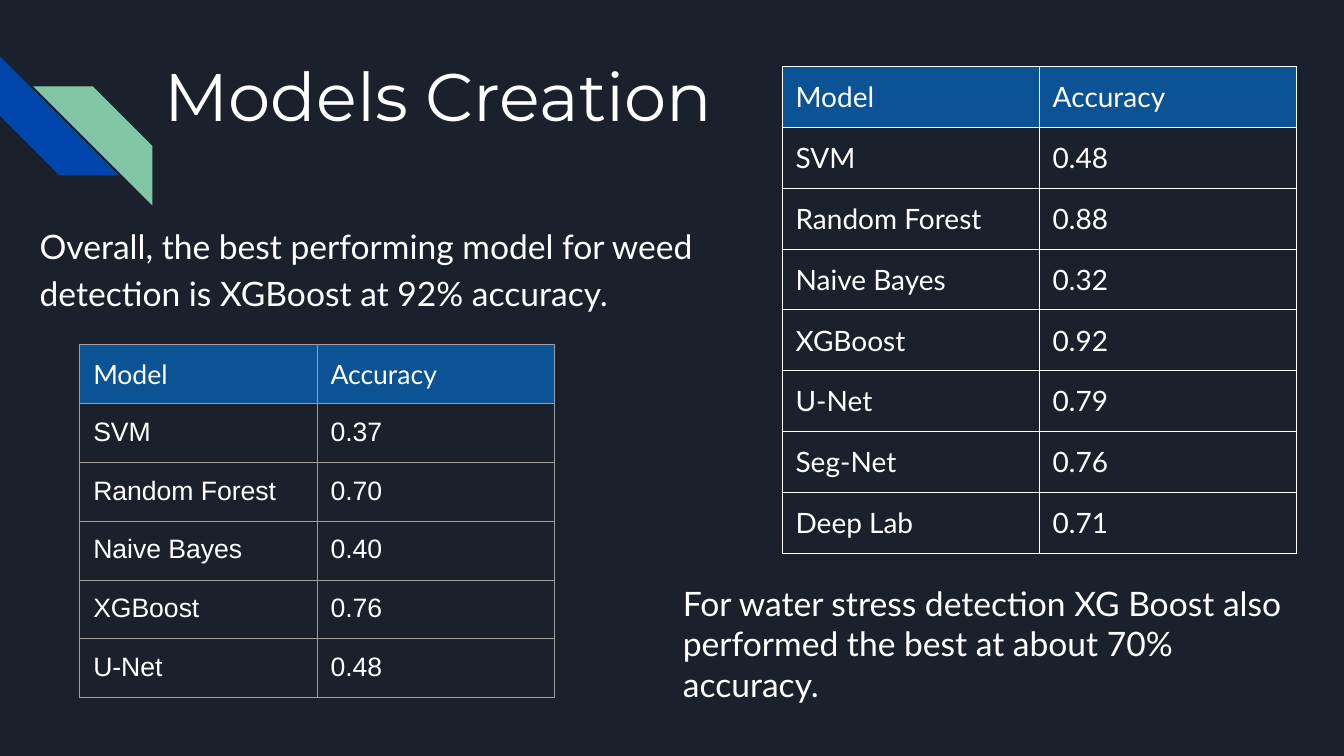
from dataclasses import dataclass

import pptx
import pptx.dml.color
import pptx.enum.shapes
import pptx.enum.text
import pptx.oxml.ns
import pptx.slide
import pptx.table
import pptx.text.text
import pptx.util
from lxml import etree
from pptx.dml.color import RGBColor
from pptx.util import Cm

BACKGROUND = RGBColor(0x1B, 0x21, 0x2C)
WHITE = RGBColor(0xFF, 0xFF, 0xFF)
GRAY = RGBColor(0x9E, 0x9E, 0x9E)
HEADER_BLUE = RGBColor(0x0B, 0x53, 0x94)
STRIPE_BLUE = RGBColor(0x01, 0x45, 0xAC)
STRIPE_GREEN = RGBColor(0x82, 0xC7, 0xA5)
MARGIN = Cm(0.34)
STRIPE_SIZE = Cm(3)


@dataclass
class Stripe:
    left: float
    top: float
    rotation: int
    color: RGBColor


@dataclass
class TextBox:
    left: float
    top: float
    width: float
    height: float
    text: str
    line_spacing: float


@dataclass
class AccuracyTable:
    left: float
    top: float
    column_width: float
    row_height: float
    size: int
    body_font: str
    border: RGBColor
    scores: dict[str, str]


STRIPES = [
    Stripe(0, 1.42, 270, STRIPE_BLUE),
    Stripe(0.84, 2.18, 90, STRIPE_GREEN),
]

TEXT_BOXES = [
    TextBox(0.66, 5.21, 17.2, 3,
            "Overall, the best performing model for weed detection is XGBoost at 92% accuracy.", 1.15),
    TextBox(16.87, 14.35, 16.59, 3.6,
            "For water stress detection XG Boost also performed the best at about 70% accuracy.", 1),
]

TABLES = [
    AccuracyTable(19.71, 1.68, 6.48, 1.52, 20, "Lato", WHITE, {
        "SVM": "0.48", "Random Forest": "0.88", "Naive Bayes": "0.32", "XGBoost": "0.92",
        "U-Net": "0.79", "Seg-Net": "0.76", "Deep Lab": "0.71"}),
    AccuracyTable(2.01, 8.69, 5.98, 1.48, 19, "Arial", GRAY, {
        "SVM": "0.37", "Random Forest": "0.70", "Naive Bayes": "0.40", "XGBoost": "0.76",
        "U-Net": "0.48"}),
]


def write_text(frame: pptx.text.text.TextFrame, text: str, *, size: int = 24,
               font: str = "Lato", line_spacing: float = 1) -> None:
    paragraph = frame.paragraphs[0]
    paragraph.alignment = pptx.enum.text.PP_ALIGN.LEFT
    paragraph.line_spacing = line_spacing
    run = paragraph.add_run()
    run.text = text
    run.font.size = pptx.util.Pt(size)
    run.font.name = font
    run.font.color.rgb = WHITE


def format_frame(frame: pptx.text.text.TextFrame) -> None:
    frame.word_wrap = True
    frame.auto_size = pptx.enum.text.MSO_AUTO_SIZE.NONE
    frame.vertical_anchor = pptx.enum.text.MSO_ANCHOR.TOP
    frame.margin_left = frame.margin_right = MARGIN
    frame.margin_top = frame.margin_bottom = MARGIN


def add_stripe(slide: pptx.slide.Slide, stripe: Stripe) -> None:
    shape = slide.shapes.add_shape(
        pptx.enum.shapes.MSO_SHAPE.DIAGONAL_STRIPE,
        Cm(stripe.left), Cm(stripe.top), STRIPE_SIZE, STRIPE_SIZE)
    shape.adjustments[0] = 0.5
    shape.rotation = stripe.rotation
    shape.shadow.inherit = False
    shape.fill.solid()
    shape.fill.fore_color.rgb = stripe.color
    shape.line.fill.background()


def add_text_box(slide: pptx.slide.Slide, box: TextBox) -> None:
    shape = slide.shapes.add_textbox(Cm(box.left), Cm(box.top), Cm(box.width), Cm(box.height))
    format_frame(shape.text_frame)
    write_text(shape.text_frame, box.text, line_spacing=box.line_spacing)


def set_borders(cell: pptx.table._Cell, color: RGBColor) -> None:
    properties = cell._tc.get_or_add_tcPr()
    for side in ("a:lnL", "a:lnR", "a:lnT", "a:lnB"):
        line = etree.SubElement(properties, pptx.oxml.ns.qn(side), w=str(pptx.util.Pt(0.75)))
        fill = etree.SubElement(line, pptx.oxml.ns.qn("a:solidFill"))
        etree.SubElement(fill, pptx.oxml.ns.qn("a:srgbClr"), val=str(color))


def add_accuracy_table(slide: pptx.slide.Slide, data: AccuracyTable) -> None:
    rows = [("Model", "Accuracy"), *data.scores.items()]
    table = slide.shapes.add_table(
        len(rows), 2, Cm(data.left), Cm(data.top),
        Cm(2 * data.column_width), Cm(len(rows) * data.row_height)).table
    table.horz_banding = False
    for column in table.columns:
        column.width = Cm(data.column_width)
    for row_index, values in enumerate(rows):
        is_header = row_index == 0
        table.rows[row_index].height = Cm(data.row_height)
        for column_index, value in enumerate(values):
            cell = table.cell(row_index, column_index)
            cell.margin_left = cell.margin_right = MARGIN
            cell.margin_top = cell.margin_bottom = MARGIN
            set_borders(cell, data.border)
            if is_header:
                cell.fill.solid()
                cell.fill.fore_color.rgb = HEADER_BLUE
            else:
                cell.fill.background()
            write_text(cell.text_frame, value, size=data.size,
                       font="Lato" if is_header else data.body_font)


def main() -> None:
    presentation = pptx.Presentation()
    presentation.slide_width = Cm(33.87)
    presentation.slide_height = Cm(19.05)
    slide = presentation.slides.add_slide(presentation.slide_layouts.get_by_name("Title Only"))
    slide.background.fill.solid()
    slide.background.fill.fore_color.rgb = BACKGROUND

    # Corner decoration
    for stripe in STRIPES:
        add_stripe(slide, stripe)

    # Title
    title = slide.shapes.title
    title.left, title.top, title.width, title.height = Cm(3.81), Cm(1.04), Cm(26.26), Cm(1.68)
    format_frame(title.text_frame)
    write_text(title.text_frame, "Models Creation", size=48, font="Montserrat")

    # Findings
    for box in TEXT_BOXES:
        add_text_box(slide, box)

    # Accuracy tables
    for data in TABLES:
        add_accuracy_table(slide, data)

    presentation.save("out.pptx")


if __name__ == "__main__":
    main()
